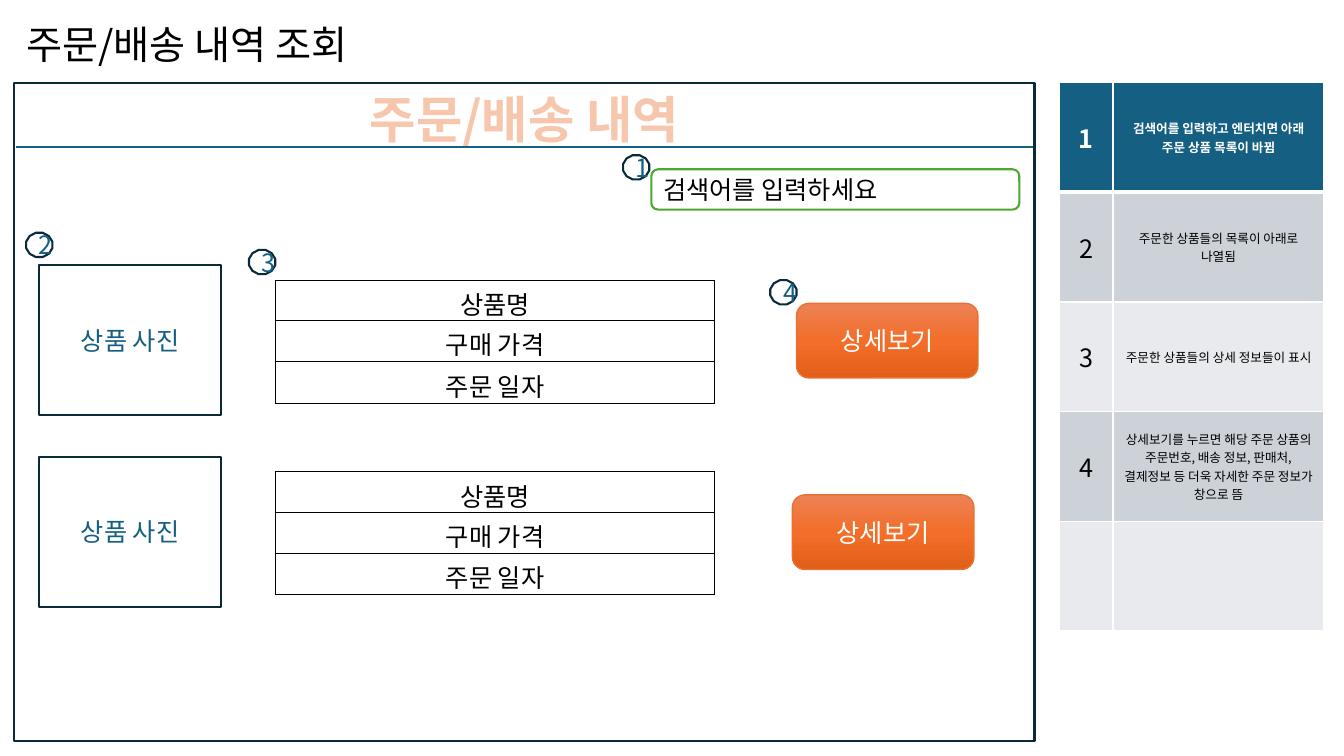
from copy import deepcopy
from lxml import etree
from pptx import Presentation
from pptx import util as u
from pptx.dml.color import RGBColor
from pptx.enum import shapes, text
from pptx.oxml import ns

FONT = "Noto Sans CJK KR"
HUES = {"ink": "000000", "white": "FFFFFF", "navy": "092A39", "teal": "156082",
        "peach": "F6C6AD", "orange": "E97132", "green": "4EA72E",
        "dark": "CCD2D8", "light": "E8EAED",
        "top": "ED8257", "mid": "F26E29", "low": "E25F1A"}
NOTES = ["검색어를 입력하고 엔터치면 아래 주문 상품 목록이 바뀜",
         "주문한 상품들의 목록이 아래로 나열됨",
         "주문한 상품들의 상세 정보들이 표시",
         "상세보기를 누르면 해당 주문 상품의 주문번호, 배송 정보, 판매처, "
         "결제정보 등 더욱 자세한 주문 정보가 창으로 뜸"]
FIELDS = ["상품명", "구매 가격", "주문 일자"]
KIND = shapes.MSO_SHAPE
LEFT, MID = text.PP_ALIGN.LEFT, text.PP_ALIGN.CENTER


def hue(name):
    """Return the named colour."""
    return RGBColor.from_string(HUES[name])


def sub(parent, tag, **attrs):
    """Add a child element and return it."""
    return etree.SubElement(parent, ns.qn(tag), **attrs)


def inch(*nums):
    """Turn numbers into lengths."""
    return [u.Inches(n) for n in nums]


def write(frame, words, size, color, align=MID, bold=False):
    """Write one run, centred vertically, and return it."""
    frame.word_wrap = True
    frame.vertical_anchor = text.MSO_ANCHOR.MIDDLE
    para = frame.paragraphs[0]
    para.alignment = align
    run = para.add_run()
    run.text = words
    run.font.name, run.font.size, run.font.bold = FONT, u.Pt(size), bold
    run.font.color.rgb = hue(color)
    sub(run._r.get_or_add_rPr(), "a:ea", typeface=FONT)
    return run


def block(slide, kind, box, line, width=1.5):
    """Draw a white outlined shape."""
    shape = slide.shapes.add_shape(kind, *inch(*box))
    shape.shadow.inherit = False
    shape.fill.solid()
    shape.fill.fore_color.rgb = hue("white")
    shape.line.color.rgb = hue(line)
    shape.line.width = u.Pt(width)
    return shape


def edge(cell, color, base=1):
    """Draw the four borders of a cell."""
    props = cell._tc.get_or_add_tcPr()
    for spot, side in enumerate("LRTB"):
        width = base if side == "B" else 1
        line = etree.Element(ns.qn(f"a:ln{side}"), w=str(u.Pt(width)))
        sub(sub(line, "a:solidFill"), "a:srgbClr", val=HUES[color])
        props.insert(spot, line)


def grid(slide, box, cols, rows):
    """Add an unbanded table with the given widths and heights."""
    table = slide.shapes.add_table(len(rows), len(cols), *inch(*box)).table
    table.first_row = table.horz_banding = False
    for col, width in zip(table.columns, cols):
        col.width = u.Inches(width)
    for row, height in zip(table.rows, rows):
        row.height = u.Inches(height)
    return table


def head(slide, box):
    """Place the slide title."""
    title = slide.shapes.title
    title.left, title.top, title.width, title.height = inch(*box)
    title.text_frame.auto_size = text.MSO_AUTO_SIZE.NONE
    write(title.text_frame, "주문/배송 내역 조회", 28, "ink", LEFT)


def screen(slide, box):
    """Draw the screen frame with its banner and search field."""
    x, y, w, h = box
    block(slide, KIND.RECTANGLE, box, "navy")
    name = slide.shapes.add_textbox(*inch(x + 3.17, y, 3.78, 0.71))
    run = write(name.text_frame, "주문/배송 내역", 36, "peach", bold=True)
    line = etree.Element(ns.qn("a:ln"), w=str(u.Pt(1.75)))
    sub(sub(line, "a:solidFill"), "a:srgbClr", val=HUES["orange"])
    run._r.get_or_add_rPr().insert(0, line)
    rule = slide.shapes.add_connector(
        shapes.MSO_CONNECTOR.STRAIGHT,
        *inch(x + 0.02, y + 0.64, x + w - 0.01, y + 0.64))
    rule.line.color.rgb = hue("teal")
    rule.line.width = u.Pt(1.5)
    sub(rule._element.spPr, "a:effectLst")
    field = block(slide, KIND.ROUNDED_RECTANGLE,
                  (x + 6.32, y + 0.86, 3.65, 0.4), "green")
    write(field.text_frame, "검색어를 입력하세요", 18, "ink", LEFT)


def button(slide, box):
    """Draw a gradient button."""
    shape = block(slide, KIND.ROUNDED_RECTANGLE, box, "orange", 1)
    shape.fill.gradient()
    shape.fill.gradient_angle = 270
    stops = shape._element.xpath(".//a:gsLst")[0]
    stops.append(deepcopy(stops[-1]))
    for spot, (stop, name) in enumerate(
            zip(shape.fill.gradient_stops, ("top", "mid", "low"))):
        stop.position = spot / 2
        stop.color.rgb = hue(name)
    write(shape.text_frame, "상세보기", 18, "white")


def order(slide, box, shift):
    """Draw one order: photo, details and button."""
    x, y, w, h = box
    photo = block(slide, KIND.RECTANGLE, (x, y, 1.8, h), "navy")
    write(photo.text_frame, "상품 사진", 18, "teal")
    table = grid(slide, (x + 2.34, y + 0.15, 4.36, 1.21),
                 [4.36], [0.39, 0.41, 0.41])
    for cell, words in zip(table.iter_cells(), FIELDS):
        cell.fill.background()
        edge(cell, "ink")
        write(cell.text_frame, words, 18, "ink")
        cell.vertical_anchor = text.MSO_ANCHOR.MIDDLE
    button(slide, (x + w - 1.8 - shift, y + 0.38, 1.8, 0.74))


def legend(slide, box):
    """Draw the numbered notes table."""
    x, y, w, h = box
    table = grid(slide, box, [0.53, w - 0.53], [h / 5] * 5)
    table.first_row = True
    for r in range(5):
        first = r == 0
        fill = "teal" if first else "dark" if r % 2 else "light"
        words = (str(r + 1), NOTES[r]) if r < len(NOTES) else ("", "")
        for c, size in enumerate((18, 9)):
            cell = table.cell(r, c)
            cell.fill.solid()
            cell.fill.fore_color.rgb = hue(fill)
            edge(cell, "white", 3 if first else 1)
            cell.vertical_anchor = text.MSO_ANCHOR.MIDDLE
            if words[c]:
                write(cell.text_frame, words[c], size,
                      "white" if first else "ink", bold=first)


def badge(slide, num, x, y):
    """Draw a numbered marker."""
    shape = block(slide, KIND.DODECAGON, (x, y, 0.26, 0.24), "navy")
    write(shape.text_frame, str(num), 18, "teal")


def main():
    """Build the slide and save it."""
    deck = Presentation()
    deck.slide_width, deck.slide_height = inch(13.33, 7.5)
    slide = deck.slides.add_slide(deck.slide_layouts[5])
    head(slide, (0.16, 0.15, 5.89, 0.57))
    screen(slide, (0.14, 0.82, 10.12, 6.53))
    legend(slide, (10.51, 0.82, 2.62, 5.44))
    for row, shift in enumerate((0, 0.04)):
        order(slide, (0.39, 2.63 + 1.9 * row, 9.31, 1.49), shift)
    spots = [(6.18, 1.54), (0.26, 2.31), (2.47, 2.48), (7.64, 2.78)]
    for num, (x, y) in enumerate(spots, 1):
        badge(slide, num, x, y)
    deck.save("out.pptx")


if __name__ == "__main__":
    main()
